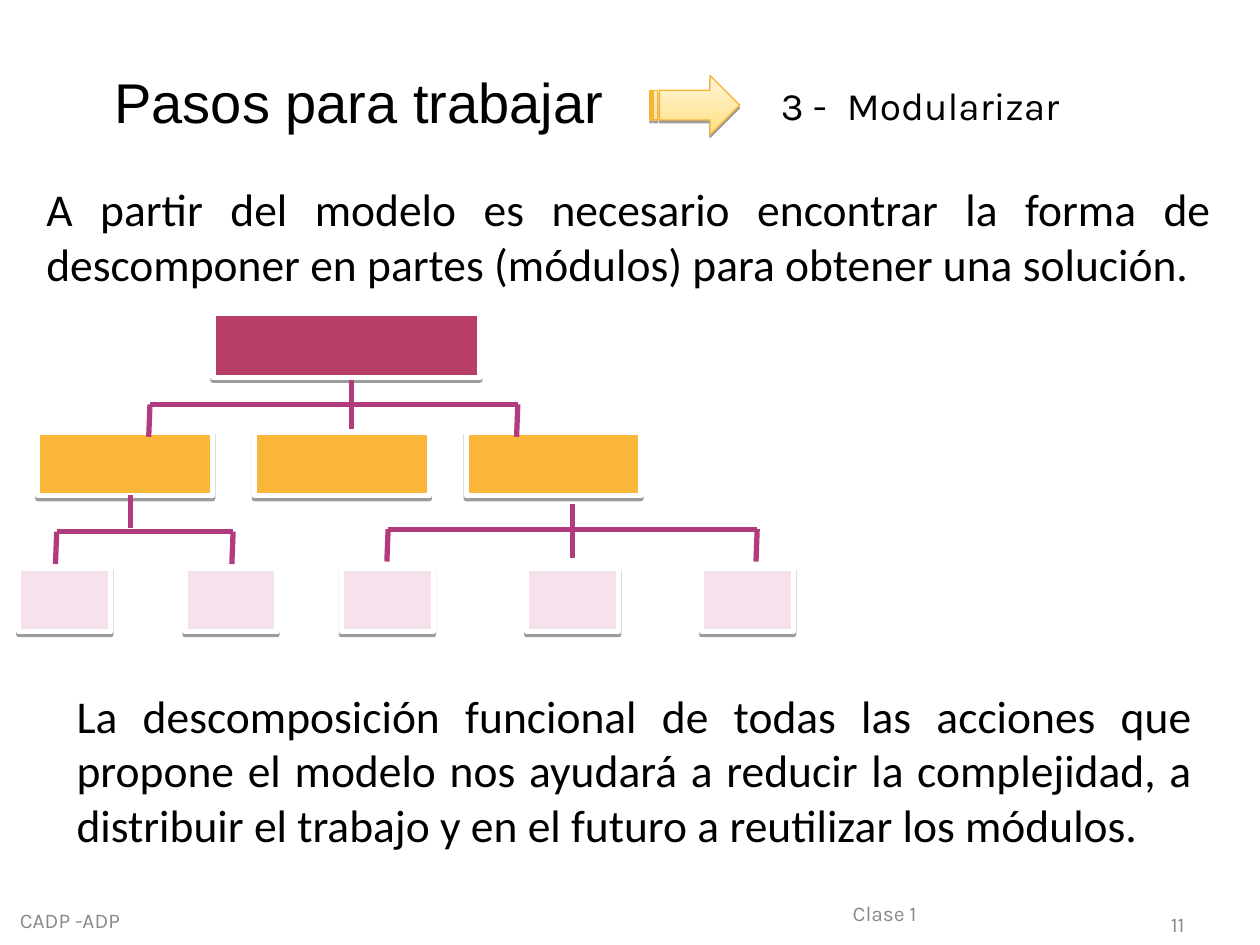
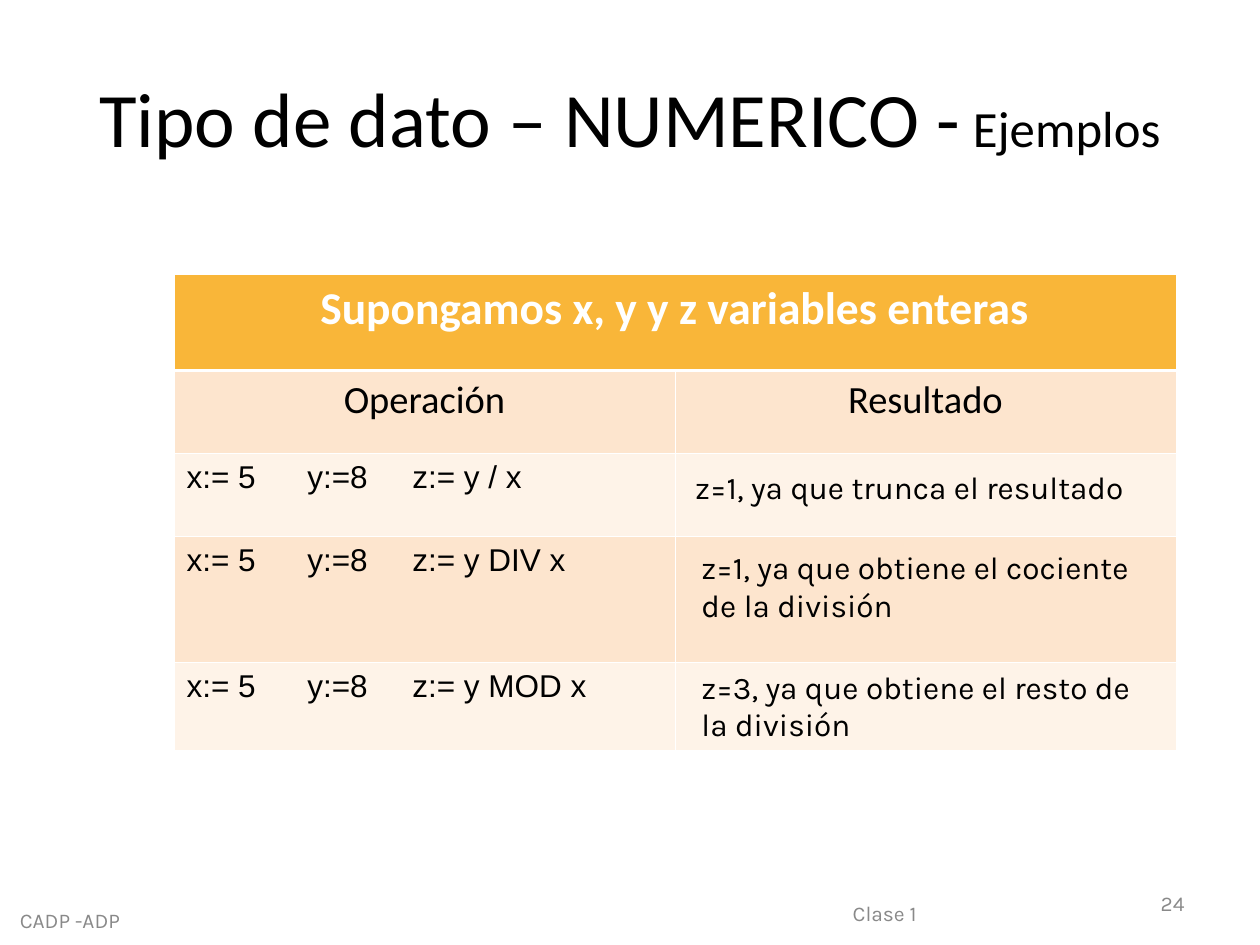
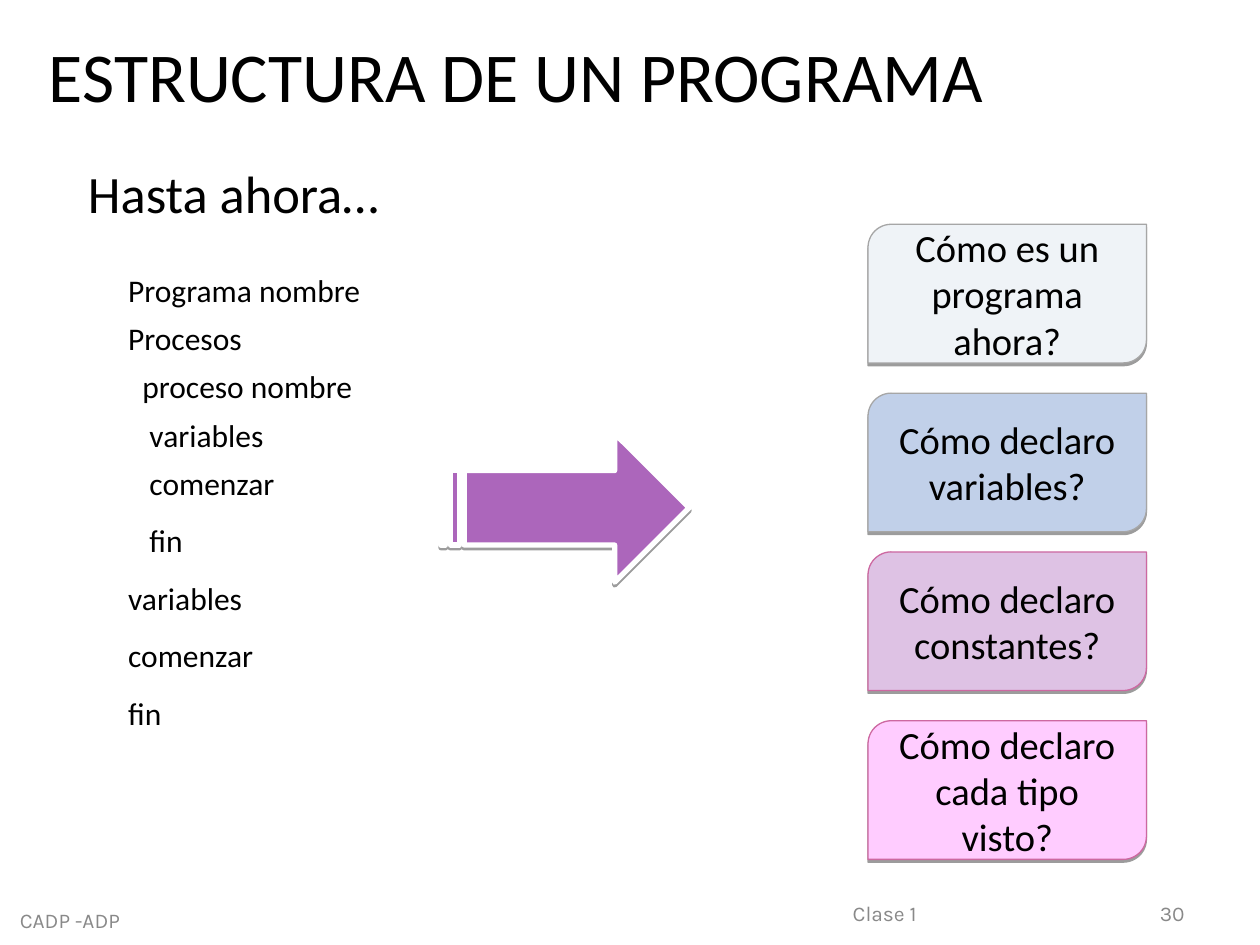
from collections import namedtuple

from lxml.etree import SubElement
from pptx import Presentation
from pptx.dml.color import RGBColor
from pptx.enum.shapes import MSO_CONNECTOR, MSO_SHAPE
from pptx.enum.text import MSO_ANCHOR, PP_ALIGN
from pptx.oxml.ns import qn
from pptx.util import Pt

COLORS = {
    "black": "000000", "white": "FFFFFF", "footer": "898989",
    "root": "B83D68", "branch": "F9B639", "leaf": "F5E2ED", "link": "B23B7E",
    "arrow_dark": "FFE082", "arrow_light": "FFF5DA", "arrow_line": "F8B333",
    "row_dark": "FDE5CE", "row_light": "FEF3E8", "purple": "AC66BB",
    "gray_line": "A6A6A6", "pink_line": "CD68A1", "pale": "EFF3F7",
    "blue": "C1D0E9", "lilac": "DEC2E4", "pink": "FFCCFF",
}
BODY_FONT, PLAIN_FONT, NOTE_FONT = "Calibri", "Arial", "Karla"

Box = namedtuple("Box", "left top width height")


def color(name):
    return RGBColor.from_string(COLORS[name])


def lengths(box):
    return [Pt(value) for value in box]


def style(para, size, font=BODY_FONT, ink="black", align=PP_ALIGN.LEFT, bold=False):
    para.alignment = align
    para.font.size = Pt(size)
    para.font.name = font
    para.font.bold = bold
    para.font.color.rgb = color(ink)


def add_tabs(para, *stops):
    tab_list = SubElement(para._p.get_or_add_pPr(), qn("a:tabLst"))
    for stop in stops:
        SubElement(tab_list, qn("a:tab"), pos=str(Pt(stop)), algn="l")


def add_text(page, box, text, size, anchor=MSO_ANCHOR.TOP, tabs=(), **look):
    """Add a wrapped one-paragraph text box and return its paragraph."""
    frame = page.shapes.add_textbox(*lengths(box)).text_frame
    frame.word_wrap = True
    frame.vertical_anchor = anchor
    para = frame.paragraphs[0]
    para.text = text
    if tabs:
        add_tabs(para, *tabs)
    style(para, size, **look)
    return para


def add_title(page, box, text, size, font=BODY_FONT):
    return add_text(page, box, text, size, MSO_ANCHOR.MIDDLE,
                    font=font, align=PP_ALIGN.CENTER)


def add_footer(page, number, number_top):
    notes = [
        (Box(480.2, 507.6, 210, 28.8), "Clase 1", PP_ALIGN.LEFT),
        (Box(0, 511.2, 80, 28.8), "CADP -ADP", PP_ALIGN.CENTER),
        (Box(516, number_top, 168, 28.8), str(number), PP_ALIGN.RIGHT),
    ]
    for box, text, align in notes:
        add_text(page, box, text, 12, MSO_ANCHOR.MIDDLE,
                 font=NOTE_FONT, ink="footer", align=align)


def add_raised_shape(page, kind, box, fill, line, line_width):
    """Add a filled preset shape with a thin shadow below it."""
    shape = page.shapes.add_shape(kind, *lengths(box))
    shape.shadow.inherit = False
    shape.fill.solid()
    shape.fill.fore_color.rgb = color(fill)
    shape.line.color.rgb = color(line)
    shape.line.width = Pt(line_width)
    effects = shape._element.spPr.find(qn("a:effectLst"))
    shadow = SubElement(effects, qn("a:outerShdw"), blurRad="0", dist=str(Pt(1.6)),
                        dir="5400000", rotWithShape="0")
    ink = SubElement(shadow, qn("a:srgbClr"), val=COLORS["black"])
    SubElement(ink, qn("a:alpha"), val="38000")
    return shape


def add_link(page, start_x, start_y, end_x, end_y):
    link = page.shapes.add_connector(
        MSO_CONNECTOR.STRAIGHT, Pt(start_x), Pt(start_y), Pt(end_x), Pt(end_y))
    link.line.color.rgb = color("link")
    link.line.width = Pt(3)
    SubElement(link._element.spPr, qn("a:effectLst"))


def add_bracket(page, stem, stem_top, stem_bottom, bar, first, last):
    """Link a module to the row below: a stem, a bar and a drop at each end."""
    drop, lean = 18.5, 0.7
    add_link(page, stem, stem_top, stem, stem_bottom)
    add_link(page, first, bar, last, bar)
    for end in (first, last):
        add_link(page, end, bar, end - lean, bar + drop)


def add_module_tree(page, box):
    def add_row(lefts, top, width, fill):
        for left in lefts:
            module = Box(box.left + left, box.top + top, width, 36.4)
            add_raised_shape(page, MSO_SHAPE.RECTANGLE, module, fill, "white", 3)

    add_row([110.9], 0, 152.6, "root")
    add_row([10.8, 134.6, 255.6], 67.7, 100, "branch")
    brackets = [  # stem, stem top, stem bottom, bar, first drop, last drop
        (190.1, 38.1, 66, 51.8, 74.9, 285.1),
        (63.7, 103.7, 122.4, 124.5, 21.6, 122.4),
        (316.3, 108.7, 139.7, 123.1, 211, 421.9),
    ]
    for stem, stem_top, stem_bottom, bar, first, last in brackets:
        add_bracket(page, box.left + stem, box.top + stem_top, box.top + stem_bottom,
                    box.top + bar, box.left + first, box.left + last)
    add_row([0, 95, 184.3, 290.2, 390.2], 145.4, 52.6, "leaf")


def build_modules_page(page):
    add_title(page, Box(4, 27.4, 402.5, 61.2), "Pasos para trabajar", 32, PLAIN_FONT)
    arrow = add_raised_shape(page, MSO_SHAPE.STRIPED_RIGHT_ARROW,
                             Box(371.5, 43.2, 51.1, 33.8),
                             "arrow_light", "arrow_line", 0.75)
    arrow.fill.gradient()
    arrow.fill.gradient_angle = 90
    for stop, name in zip(arrow.fill.gradient_stops, ("arrow_dark", "arrow_light")):
        stop.color.rgb = color(name)
    add_text(page, Box(439.2, 42.2, 221, 36), "3 -\tModularizar", 22.2,
             MSO_ANCHOR.MIDDLE, tabs=[37.7], font=NOTE_FONT)
    add_text(page, Box(19.4, 100.1, 680.4, 69.8),
             "A partir del modelo es necesario encontrar la forma de descomponer "
             "en partes (módulos) para obtener una solución.",
             26, align=PP_ALIGN.JUSTIFY)
    add_module_tree(page, Box(10.8, 179.3, 443, 182))
    add_text(page, Box(36.7, 389.5, 652.3, 100.8),
             "La descomposición funcional de todas las acciones que propone el "
             "modelo nos ayudará a reducir la complejidad, a distribuir el trabajo "
             "y en el futuro a reutilizar los módulos.",
             26, align=PP_ALIGN.JUSTIFY)
    add_footer(page, 11, 513.4)


def set_borders(cell, top, bottom):
    properties = cell._tc.get_or_add_tcPr()
    widths = {"a:lnL": 0.45, "a:lnR": 0.45, "a:lnT": top, "a:lnB": bottom}
    for tag, width in widths.items():
        line = SubElement(properties, qn(tag), w=str(Pt(width)))
        fill = SubElement(line, qn("a:solidFill"))
        SubElement(fill, qn("a:srgbClr"), val=COLORS["white"])


def add_examples_table(page, box):
    heights = [54.7, 47.5, 47.5, 72, 50.4]
    fills = ["branch", "row_dark", "row_light", "row_dark", "row_light"]
    table = page.shapes.add_table(len(heights), 2, *lengths(box)).table
    table.horz_banding = False
    for column in table.columns:
        column.width = Pt(box.width / 2)
    for index, (height, fill) in enumerate(zip(heights, fills)):
        table.rows[index].height = Pt(height)
        for cell in table.rows[index].cells:
            set_borders(cell, 1.47 if index == 1 else 0.45,
                        1.47 if index == 0 else 0.45)
            cell.fill.solid()
            cell.fill.fore_color.rgb = color(fill)

    def write(row, column, text, size, tabs=(), **look):
        para = table.cell(row, column).text_frame.paragraphs[0]
        para.text = text
        if tabs:
            add_tabs(para, *tabs)
        style(para, size, **look)

    table.cell(0, 0).merge(table.cell(0, 1))
    write(0, 0, "Supongamos x, y y z variables enteras", 26,
          ink="white", align=PP_ALIGN.CENTER, bold=True)
    for column, heading in enumerate(("Operación", "Resultado")):
        write(1, column, heading, 22, align=PP_ALIGN.CENTER)
    for row, operator in enumerate(("/", "DIV", "MOD"), start=2):
        write(row, 0, f"x:= 5\ty:=8\tz:= y {operator} x", 18,
              tabs=[69, 129], font=PLAIN_FONT)


def add_results(page, box):
    results = [
        (0, 0, "z=1, ya que trunca el resultado"),
        (3.6, 45.4, "z=1, ya que obtiene el cociente de la división"),
        (3.6, 113.8, "z=3, ya que obtiene el resto de la división"),
    ]
    for left, top, text in results:
        add_text(page, Box(box.left + left, box.top + top, box.width, 50.4),
                 text, 18, font=NOTE_FONT)


def build_numeric_page(page):
    title = add_title(page, Box(36, 21.6, 648, 90), "Tipo de dato – NUMERICO -", 44)
    span = title.add_run()
    span.text = " Ejemplos"
    span.font.size = Pt(29)
    add_examples_table(page, Box(99.4, 157, 572.6, 272.1))
    add_results(page, Box(390.2, 264.2, 272, 164))
    add_footer(page, 24, 501.8)


def add_program_outline(page, box):
    lines = ["Programa nombre", "Procesos", "  proceso nombre", "   variables",
             "   comenzar", "   fin", "variables", "comenzar", "fin"]
    tight_lines = 5
    frame = page.shapes.add_textbox(*lengths(box)).text_frame
    frame.word_wrap = True
    for index, line in enumerate(lines):
        para = frame.add_paragraph() if index else frame.paragraphs[0]
        para.text = line
        if index:
            para.space_before = Pt(6 if index < tight_lines else 11.2)
        style(para, 18)


def add_question_cards(page, box):
    cards = [
        (0, "Cómo es un programa ahora?", "pale", "gray_line"),
        (96.5, "Cómo declaro variables?", "blue", "gray_line"),
        (187.2, "Cómo declaro constantes?", "lilac", "pink_line"),
        (283.7, "Cómo declaro cada tipo visto?", "pink", "pink_line"),
    ]
    for top, question, fill, line in cards:
        card = add_raised_shape(page, MSO_SHAPE.ROUND_2_DIAG_RECTANGLE,
                                Box(box.left, box.top + top, box.width, 79.2),
                                fill, line, 0.75)
        frame = card.text_frame
        frame.word_wrap = True
        frame.vertical_anchor = MSO_ANCHOR.MIDDLE
        frame.text = question
        style(frame.paragraphs[0], 22, align=PP_ALIGN.CENTER)


def build_structure_page(page):
    add_title(page, Box(2.9, 3.6, 583.9, 78.5), "ESTRUCTURA DE UN PROGRAMA", 40)
    add_text(page, Box(43.2, 88.6, 200, 43.2), "Hasta ahora…", 30)
    add_program_outline(page, Box(66.2, 151.2, 247, 283.7))
    add_raised_shape(page, MSO_SHAPE.STRIPED_RIGHT_ARROW,
                     Box(252, 247.7, 141.8, 85), "purple", "white", 3)
    add_question_cards(page, Box(496, 128.2, 159.1, 363))
    add_footer(page, 30, 507.6)


def main():
    deck = Presentation()
    deck.slide_width, deck.slide_height = Pt(720), Pt(540)
    blank = deck.slide_layouts[6]
    for build in (build_modules_page, build_numeric_page, build_structure_page):
        build(deck.slides.add_slide(blank))
    deck.save("out.pptx")


if __name__ == "__main__":
    main()
